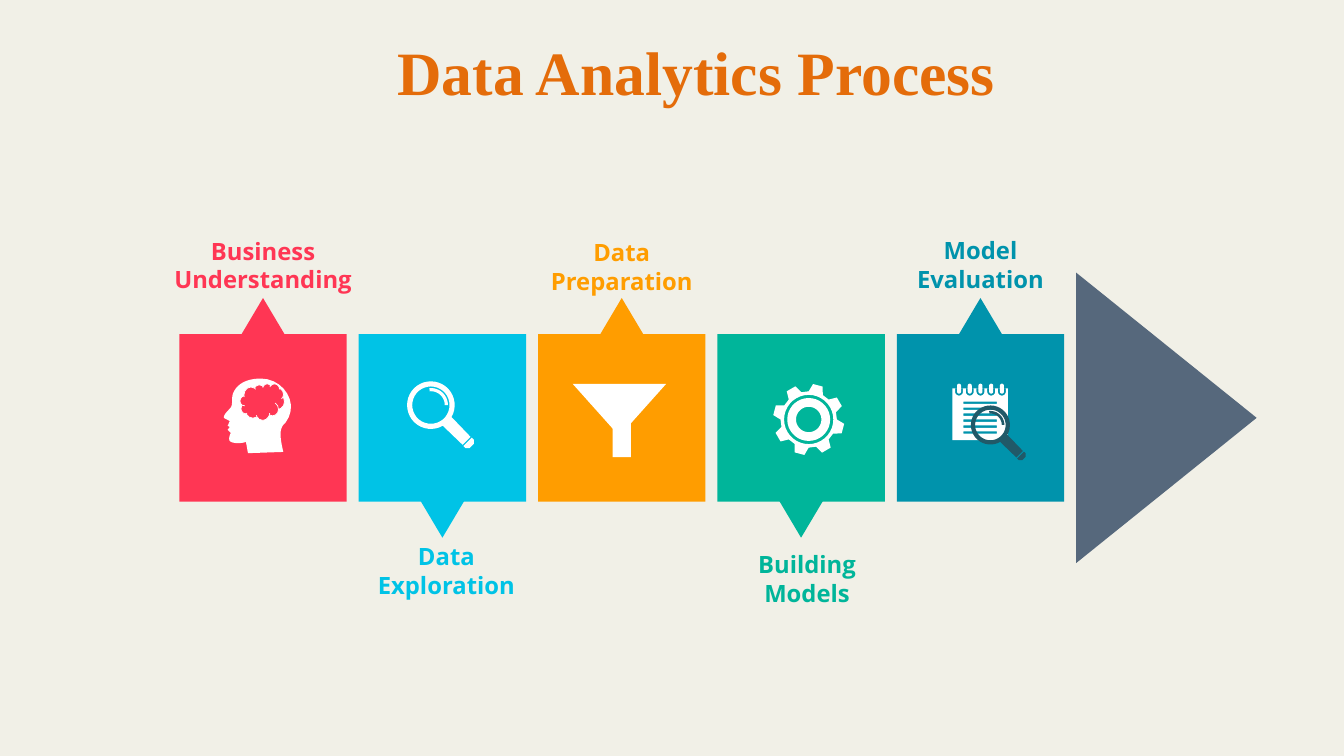
import math
from dataclasses import dataclass

import pptx
import pptx.dml.color
import pptx.enum.shapes
import pptx.enum.text
import pptx.util

Cm = pptx.util.Cm
SHAPES = pptx.enum.shapes.MSO_SHAPE


@dataclass(frozen=True)
class Theme:
    """Colours, fonts and type sizes of the slide."""
    paper: str = "F1F0E7"
    title: str = "E46C0A"
    business: str = "FF3654"
    exploration: str = "00C3E6"
    preparation: str = "FF9D00"
    models: str = "00B59A"
    evaluation: str = "0093AC"
    arrow: str = "56687C"
    icon: str = "FFFFFF"
    lens: str = "215968"
    title_font: str = "Times New Roman"
    label_font: str = "Open Sans"
    title_size: int = 44
    label_size: int = 17


@dataclass(frozen=True)
class Box:
    """A rectangle in centimetres."""
    left: float
    top: float
    width: float
    height: float

    @property
    def centre(self):
        """Return the middle point."""
        return self.left + self.width / 2, self.top + self.height / 2

    def lengths(self):
        """Return the four measures as slide lengths."""
        return Cm(self.left), Cm(self.top), Cm(self.width), Cm(self.height)


THEME = Theme()


def rgb(colour):
    """Turn a hex string into a colour."""
    return pptx.dml.color.RGBColor.from_string(colour)


def paint(shape, colour):
    """Give a shape a plain fill without line or shadow."""
    shape.shadow.inherit = False
    shape.fill.solid()
    shape.fill.fore_color.rgb = rgb(colour)
    shape.line.fill.background()
    return shape


def preset(page, kind, box, colour):
    """Add a painted preset shape."""
    return paint(page.shapes.add_shape(kind, *box.lengths()), colour)


def outline(page, contours, origin, colour, scale=1):
    """Add one freeform made of closed contours placed around an origin."""
    placed = [[(Cm(origin[0] + x * scale), Cm(origin[1] + y * scale)) for x, y in contour]
              for contour in contours]
    builder = page.shapes.build_freeform(*placed[0][0], scale=1.0)
    for index, points in enumerate(placed):
        if index:
            builder.move_to(*points[0])
        builder.add_line_segments(points[1:], close=True)
    return paint(builder.convert_to_shape(), colour)


def arc(radius, start=0, end=360, centre=(0, 0), steps=36):
    """Return points along an arc, angles in degrees clockwise from the right."""
    angles = [math.radians(start + (end - start) * step / steps) for step in range(steps + 1)]
    return [(centre[0] + radius * math.cos(angle), centre[1] + radius * math.sin(angle))
            for angle in angles]


def bezier(start, first, second, end, steps=10):
    """Return points along a cubic curve, leaving out its start."""
    times = [step / steps for step in range(1, steps + 1)]
    return [tuple((1 - t) ** 3 * a + 3 * t * (1 - t) ** 2 * b + 3 * t * t * (1 - t) * c + t ** 3 * d
                  for a, b, c, d in zip(start, first, second, end)) for t in times]


def rectangle(left, top, right, bottom):
    """Return the corners of a rectangle."""
    return [(left, top), (right, top), (right, bottom), (left, bottom)]


def write(frame, text, font, size, colour):
    """Write one bold centred paragraph into a text frame."""
    frame.word_wrap = True
    frame.margin_left = frame.margin_right = frame.margin_top = frame.margin_bottom = 0
    frame.vertical_anchor = pptx.enum.text.MSO_ANCHOR.MIDDLE
    para = frame.paragraphs[0]
    para.alignment = pptx.enum.text.PP_ALIGN.CENTER
    span = para.add_run()
    span.text = text
    span.font.name, span.font.size, span.font.bold = font, pptx.util.Pt(size), True
    span.font.color.rgb = rgb(colour)


def draw_head(page, box, colour):
    """Draw a head in profile with a brain."""
    pieces = [
        [(.51, -.99), (.94, -.36), (.56, .13)], [(.41, .25), (.41, .43), (.51, .86)],
        [(-.38, .89)], [(-.43, .61)],
        [(-.61, .66), (-.79, .64), (-.84, .58)], [(-.86, .56), (-.86, .46), (-.81, .38)],
        [(-.89, .3)], [(-.84, .23)], [(-.89, .2)], [(-.84, .08)], [(-.99, 0)],
        [(-.99, -.08), (-.91, -.15), (-.84, -.23)], [(-.74, -.33), (-.81, -.41), (-.76, -.61)],
        [(-.66, -.86), (-.41, -.99), (-.05, -.99)],
    ]
    profile = [(-.05, -.99)]
    for piece in pieces:
        profile += bezier(profile[-1], *piece) if len(piece) == 3 else piece
    x, y = box.centre
    outline(page, [profile], (x, y), THEME.icon)
    brain = preset(page, SHAPES.CLOUD, Box(x - .58, y - .86, 1.12, .92), colour)
    brain.line.color.rgb = rgb(THEME.icon)
    brain.line.width = pptx.util.Pt(.5)


def draw_lens(page, centre, colour, scale=1):
    """Draw a magnifying glass around the centre of its lens."""
    rim = arc(.6, 60, 390) + [(1, .8), (.8, 1)]
    glare = arc(.43, -95, 0) + arc(.35, 0, -95)
    tip = [(1.03, .82), (1.08, .87), (1.08, .98), (.98, 1.08), (.87, 1.08), (.82, 1.03)]
    outline(page, [rim, arc(.47), glare, tip], centre, colour, scale)


def draw_search(page, box, colour):
    """Draw a white magnifying glass."""
    x, y = box.centre
    draw_lens(page, (x - .29, y - .32), THEME.icon)


def draw_funnel(page, box, colour):
    """Draw a funnel from a stem and a cone."""
    x, y = box.centre
    preset(page, SHAPES.RECTANGLE, Box(x - .23, y - .1, .46, 1.09), THEME.icon)
    cone = preset(page, SHAPES.ISOSCELES_TRIANGLE, Box(x - 1.24, y - .86, 2.36, 1.32), THEME.icon)
    cone.rotation = 180


def draw_gear(page, box, colour):
    """Draw a gear with eight teeth."""
    teeth = []
    for middle in range(-75, 285, 45):
        teeth += arc(.71, middle - 15, middle - 15, steps=1)[:1]
        teeth += arc(.9, middle - 8, middle + 8, steps=1)
        teeth += arc(.71, middle + 15, middle + 15, steps=1)[:1]
    x, y = box.centre
    outline(page, [teeth, arc(.62), arc(.54), arc(.32)], (x + .19, y + .04), THEME.icon)


def draw_notepad(page, box, colour):
    """Draw a notepad with rings, lines and a magnifying glass."""
    contours = [rectangle(-.71, -.74, .69, .56)]
    for ring in range(5):
        x = -.54 + .27 * ring
        contours.append([(x - .1, -.74), (x + .1, -.74)] + arc(.1, 0, 180, (x, -.66), 12))
        contours.append(arc(.05, 180, 360, (x, -.81), 12) + arc(.05, 0, 180, (x, -.66), 12))
    for line in range(6):
        y = -.41 + .15 * line
        contours.append(rectangle(-.43, y, .41, y + .06))
    x, y = box.centre
    outline(page, contours, (x, y), THEME.icon)
    draw_lens(page, (x + .25, y + .18), THEME.lens, .82)


def draw_step(page, box, text, colour, icon, side, shift, gap):
    """Draw a square with its pointer, label and icon; side is -1 up or 1 down."""
    x, y = box.centre
    edge = side * box.height / 2
    outline(page, [[(0, edge + side * .91), (-.6, edge - side * .1), (.6, edge - side * .1)]],
            (x, y), colour)
    preset(page, SHAPES.RECTANGLE, box, colour)
    middle = y + edge + side * (.91 + gap)
    label = page.shapes.add_textbox(*Box(x - 2.3 + shift, middle - .8, 4.6, 1.6).lengths())
    write(label.text_frame, text, THEME.label_font, THEME.label_size, colour)
    icon(page, box, colour)


def draw_process(page, box):
    """Draw the five steps and the closing arrow head."""
    steps = [
        ("Business Understanding", THEME.business, draw_head, -1, 0, .83),
        ("Data Exploration", THEME.exploration, draw_search, 1, .1, .83),
        ("Data Preparation", THEME.preparation, draw_funnel, -1, 0, .8),
        ("Building Models", THEME.models, draw_gear, 1, .15, 1.03),
        ("Model Evaluation", THEME.evaluation, draw_notepad, -1, 0, .84),
    ]
    for index, step in enumerate(steps):
        draw_step(page, Box(box.left + 4.52 * index, box.top + 1.55, 4.22, 4.22), *step)
    right, middle = box.left + box.width, box.top + box.height / 2
    outline(page, [[(0, 0), (-4.55, 3.66), (-4.55, -3.66)]], (right, middle), THEME.arrow)


def draw_title(page, box):
    """Place the slide title."""
    title = page.shapes.title
    title.left, title.top, title.width, title.height = box.lengths()
    write(title.text_frame, "Data Analytics Process", THEME.title_font, THEME.title_size, THEME.title)


def main():
    """Build and save the slide."""
    deck = pptx.Presentation()
    deck.slide_width, deck.slide_height = Cm(33.87), Cm(19.05)
    page = deck.slides.add_slide(deck.slide_layouts[5])
    page.background.fill.solid()
    page.background.fill.fore_color.rgb = rgb(THEME.paper)
    draw_title(page, Box(8.76, .71, 17.58, 2.13))
    draw_process(page, Box(4.52, 6.87, 27.15, 7.32))
    deck.save("out.pptx")


if __name__ == "__main__":
    main()
